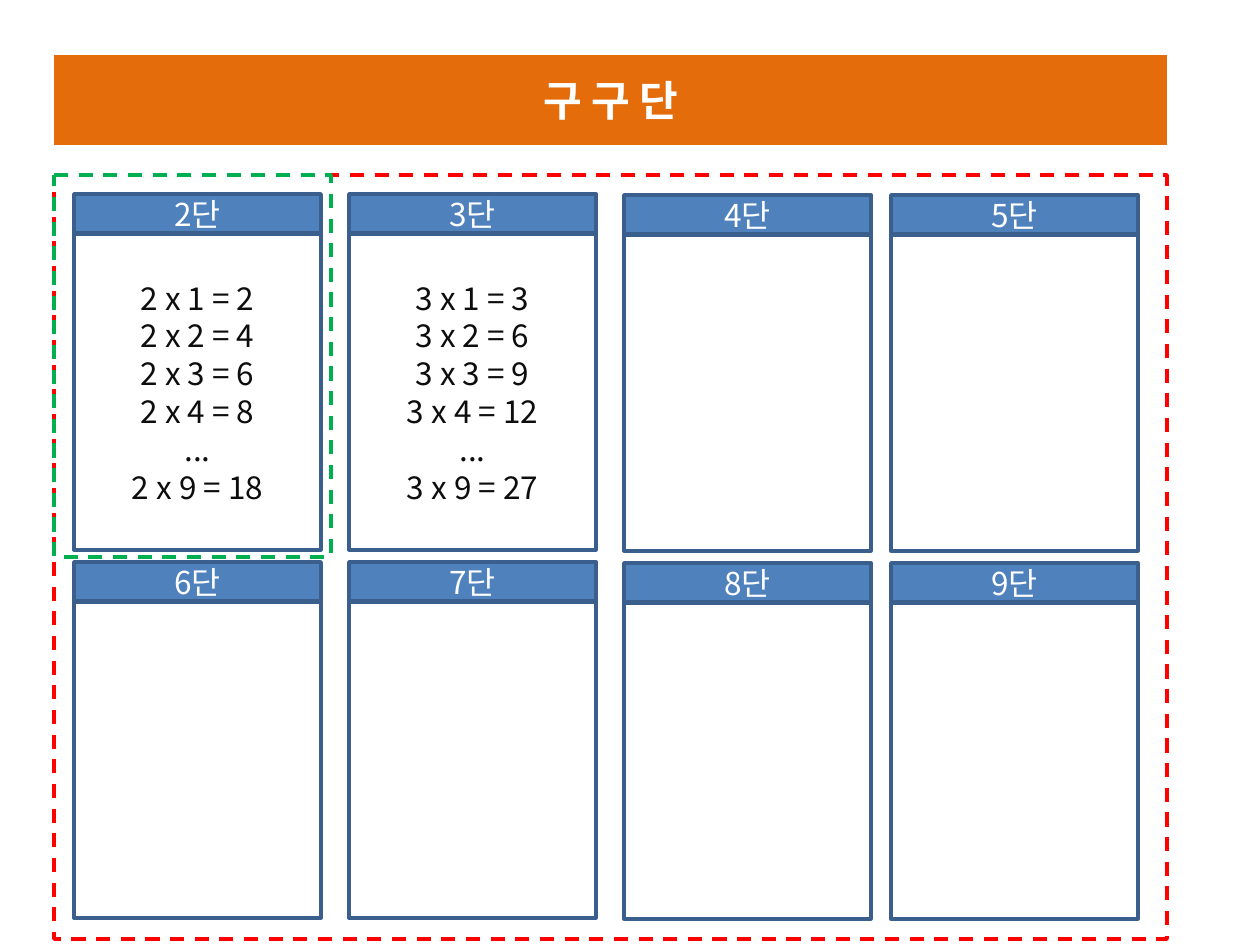
from dataclasses import dataclass
from lxml import etree
from pptx import Presentation, util as u
from pptx.dml.color import RGBColor
from pptx.enum import dml, shapes, text
from pptx.oxml import ns


@dataclass(frozen=True)
class Theme:
    font: str = "Noto Sans CJK KR"
    title_fill: str = "E46C0A"
    header_fill: str = "4F81BD"
    card_line: str = "3A5F8C"
    white: str = "FFFFFF"
    ink: str = "0D0D0D"
    all_frame: str = "FF0000"
    one_frame: str = "00B050"
    title_size: int = 24
    body_size: int = 18
    line_width: int = 2


theme = Theme()
SCALE = u.Inches(1) / 126


def px(*lengths):
    return [round(length * SCALE) for length in lengths]


def write(shape, lines, color, size, bold=False):
    frame = shape.text_frame
    frame.word_wrap = True
    frame.auto_size = text.MSO_AUTO_SIZE.NONE
    frame.vertical_anchor = text.MSO_ANCHOR.MIDDLE
    frame.text = "\n".join(lines)
    for paragraph in frame.paragraphs:
        paragraph.alignment = text.PP_ALIGN.CENTER
        for run in paragraph.runs:
            formats = {"name": theme.font, "size": u.Pt(size), "bold": bold}
            for name, value in formats.items():
                setattr(run.font, name, value)
            run.font.color.rgb = RGBColor.from_string(color)
            east_asian = etree.SubElement(run.font._element, ns.qn("a:ea"))
            east_asian.set("typeface", theme.font)


presentation = Presentation()
presentation.slide_width, presentation.slide_height = px(1260, 945)
slide = presentation.slides.add_slide(presentation.slide_layouts[5])

# Title banner
title = slide.shapes.title
title.left, title.top, title.width, title.height = px(54, 55, 1113, 90)
title.fill.solid()
title.fill.fore_color.rgb = RGBColor.from_string(theme.title_fill)
write(title, ["구 구 단"], theme.white, theme.title_size, bold=True)

# Multiplication cards: four columns, two rows
column_lefts = [74, 349, 624, 891]
column_tops = [194, 194, 195, 195]
row_step = 368
card_width, header_height, body_height = 247, 39, 316
body_offset = 40
filled_tables = (2, 3)

for index, number in enumerate(range(2, 10)):
    row, column = divmod(index, 4)
    left = column_lefts[column]
    top = column_tops[column] + row * row_step
    lines = []
    if number in filled_tables:
        lines = [f"{number} x {factor} = {number * factor}" for factor in (1, 2, 3, 4, 9)]
        lines.insert(4, "...")
    parts = [
        (top, header_height, theme.header_fill, [f"{number}단"], theme.white),
        (top + body_offset, body_height, theme.white, lines, theme.ink),
    ]
    for part_top, height, fill, part_lines, color in parts:
        box = slide.shapes.add_shape(
            shapes.MSO_SHAPE.RECTANGLE, *px(left, part_top, card_width, height))
        box.shadow.inherit = False
        box.fill.solid()
        box.fill.fore_color.rgb = RGBColor.from_string(fill)
        box.line.color.rgb = RGBColor.from_string(theme.card_line)
        box.line.width = u.Pt(theme.line_width)
        if part_lines:
            write(box, part_lines, color, theme.body_size)

# Dashed frames around all cards and around the first card
for width, height, color in [(1113, 764, theme.all_frame), (277, 382, theme.one_frame)]:
    outline = slide.shapes.add_shape(
        shapes.MSO_SHAPE.ROUNDED_RECTANGLE, *px(54, 175, width, height))
    outline.adjustments[0] = 0
    outline.shadow.inherit = False
    outline.fill.background()
    outline.line.color.rgb = RGBColor.from_string(color)
    outline.line.width = u.Pt(theme.line_width)
    outline.line.dash_style = dml.MSO_LINE.DASH

presentation.save("out.pptx")
